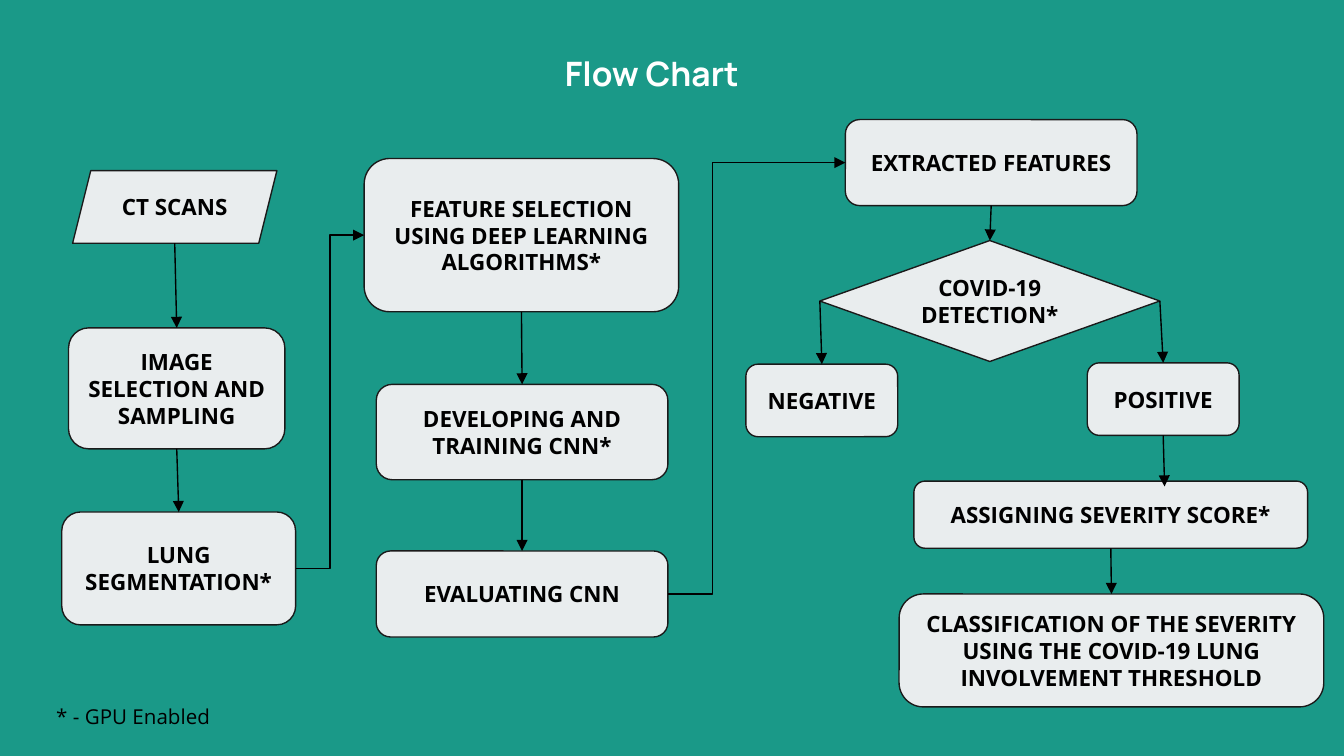
from lxml import etree
from pptx import Presentation
from pptx.dml.color import RGBColor
from pptx.enum.shapes import MSO_CONNECTOR, MSO_SHAPE
from pptx.enum.text import MSO_ANCHOR, PP_ALIGN
from pptx.oxml.ns import qn
from pptx.util import Inches, Pt

ROUND = MSO_SHAPE.ROUNDED_RECTANGLE
SLANT = MSO_SHAPE.PARALLELOGRAM
DIAMOND = MSO_SHAPE.DIAMOND
STRAIGHT, ELBOW = MSO_CONNECTOR.STRAIGHT, MSO_CONNECTOR.ELBOW
CENTER, LEFT = PP_ALIGN.CENTER, PP_ALIGN.LEFT
MIDDLE, TOP = MSO_ANCHOR.MIDDLE, MSO_ANCHOR.TOP
UP, WEST, DOWN, EAST = range(4)

TEAL, PALE, EDGE = "1A9988", "E9EDEE", "1A1A1A"
BLACK, WHITE = "000000", "FFFFFF"
NODE_FONT = {"name": "Open Sans", "size": Pt(12), "bold": True}
TITLE_FONT = {"name": "Manrope", "size": Pt(18), "bold": True}
NOTE_FONT = {"name": "Open Sans", "size": Pt(11), "bold": False}
FRAME = {"word_wrap": True}
FRAME.update({"margin_" + side: Inches(0.1)
              for side in ("left", "right", "top", "bottom")})


def paint(target, color):
    target.rgb = RGBColor.from_string(color)


def set_all(target, values):
    for name, value in values.items():
        setattr(target, name, value)


def write(shape, text, font, color, align=CENTER, anchor=MIDDLE):
    frame = shape.text_frame
    set_all(frame, FRAME)
    frame.vertical_anchor = anchor
    frame.text = text
    for para in frame.paragraphs:
        para.alignment = align
        for run in para.runs:
            set_all(run.font, font)
            paint(run.font.color, color)


def add_label(slide, box, text, font, color, **place):
    label = slide.shapes.add_textbox(*map(Inches, box))
    write(label, text, font, color, **place)


def add_node(slide, origin, box, text, kind=ROUND, adj=0.167):
    """Place a step; its box is relative to the origin of its region."""
    x, y, w, h = box
    node = slide.shapes.add_shape(
        kind, Inches(origin[0] + x), Inches(origin[1] + y),
        Inches(w), Inches(h))
    node.shadow.inherit = False
    if kind != DIAMOND:
        node.adjustments[0] = adj
    node.fill.solid()
    paint(node.fill.fore_color, PALE)
    paint(node.line.color, EDGE)
    node.line.width = Pt(0.75)
    write(node, text, NODE_FONT, BLACK)
    return node


def spot(node, side):
    """Middle of one side of a node."""
    x = node.left + (0 if side == WEST else
                     node.width if side == EAST else node.width // 2)
    y = node.top + (0 if side == UP else
                    node.height if side == DOWN else node.height // 2)
    return x, y


def draw_arrow(slide, start, end, kind=STRAIGHT):
    arrow = slide.shapes.add_connector(kind, *start, *end)
    paint(arrow.line.color, BLACK)
    arrow.line.width = Pt(0.75)
    line = arrow.line._get_or_add_ln()
    etree.SubElement(line, qn("a:tailEnd"), type="triangle")
    etree.SubElement(arrow._element.spPr, qn("a:effectLst"))
    return arrow


def join(slide, first, last, start=DOWN, end=UP):
    arrow = draw_arrow(slide, spot(first, start), spot(last, end))
    arrow.begin_connect(first, start)
    arrow.end_connect(last, end)


def bend(slide, first, last, ratio):
    """Elbow from right side to left side, turning at ratio of the gap."""
    arrow = draw_arrow(slide, spot(first, EAST), spot(last, WEST), ELBOW)
    guides = arrow._element.spPr.find(qn("a:prstGeom")).get_or_add_avLst()
    etree.SubElement(guides, qn("a:gd"), name="adj1",
                     fmla=f"val {round(ratio * 100000)}")


def add_scans(slide, origin):
    """Left column: scans to segmentation."""
    scans = add_node(slide, origin, (0.08, 0, 1.52, 0.54), "CT SCANS",
                     SLANT, 0.25)
    images = add_node(slide, origin, (0.05, 1.17, 1.61, 0.9),
                      "IMAGE SELECTION AND SAMPLING")
    lungs = add_node(slide, origin, (0, 2.54, 1.74, 0.84),
                     "LUNG\nSEGMENTATION*")
    arrow = draw_arrow(slide, spot(scans, DOWN), spot(images, UP))
    arrow.end_connect(images, UP)
    join(slide, images, lungs)
    return lungs


def add_network(slide, origin):
    """Middle column: selecting features and training."""
    select = add_node(slide, origin, (0, 0, 2.34, 1.14),
                      "FEATURE SELECTION USING DEEP LEARNING ALGORITHMS*")
    train = add_node(slide, origin, (0.09, 1.68, 2.17, 0.71),
                     "DEVELOPING AND TRAINING CNN*")
    check = add_node(slide, origin, (0.09, 2.92, 2.17, 0.64),
                     "EVALUATING CNN")
    join(slide, select, train)
    join(slide, train, check)
    return select, check


def add_result(slide, origin):
    """Right column: detection and severity."""
    traits = add_node(slide, origin, (0.74, 0, 2.17, 0.64),
                      "EXTRACTED FEATURES")
    detect = add_node(slide, origin, (0.55, 0.9, 2.53, 0.9),
                      "COVID-19 DETECTION*", DIAMOND)
    minus = add_node(slide, origin, (0, 1.82, 1.13, 0.54), "NEGATIVE")
    plus = add_node(slide, origin, (2.54, 1.81, 1.13, 0.54), "POSITIVE")
    score = add_node(slide, origin, (1.25, 2.69, 2.93, 0.5),
                     "ASSIGNING SEVERITY SCORE*")
    grade = add_node(slide, origin, (1.14, 3.53, 3.16, 0.84),
                     "CLASSIFICATION OF THE SEVERITY USING THE "
                     "COVID-19 LUNG INVOLVEMENT THRESHOLD", adj=0.214)
    join(slide, traits, detect)
    join(slide, detect, minus, WEST)
    join(slide, detect, plus, EAST)
    join(slide, score, grade)
    # This arrow meets the score box off its centre
    x, y = spot(plus, DOWN)
    arrow = draw_arrow(slide, (x, y), (x + Inches(0.01), y + Inches(0.38)))
    arrow.begin_connect(plus, DOWN)
    return traits


def add_chart_slide(deck):
    slide = deck.slides.add_slide(deck.slide_layouts[6])
    fill = slide.background.fill
    fill.solid()
    paint(fill.fore_color, TEAL)

    # Title and footnote
    add_label(slide, (0.64, 0.29, 8.42, 0.5), "Flow Chart",
              TITLE_FONT, WHITE)
    add_label(slide, (0.32, 5.15, 3.76, 0.27), "* - GPU Enabled",
              NOTE_FONT, BLACK, align=LEFT, anchor=TOP)

    # Columns and the elbows between them
    lungs = add_scans(slide, (0.46, 1.27))
    select, check = add_network(slide, (2.71, 1.18))
    traits = add_result(slide, (5.55, 0.89))
    bend(slide, lungs, select, 0.5)
    bend(slide, check, traits, 0.25)


def main():
    deck = Presentation()
    # Widescreen, 16 by 9
    deck.slide_width = Inches(10)
    deck.slide_height = deck.slide_width * 9 // 16
    add_chart_slide(deck)
    deck.save("out.pptx")


if __name__ == "__main__":
    main()
